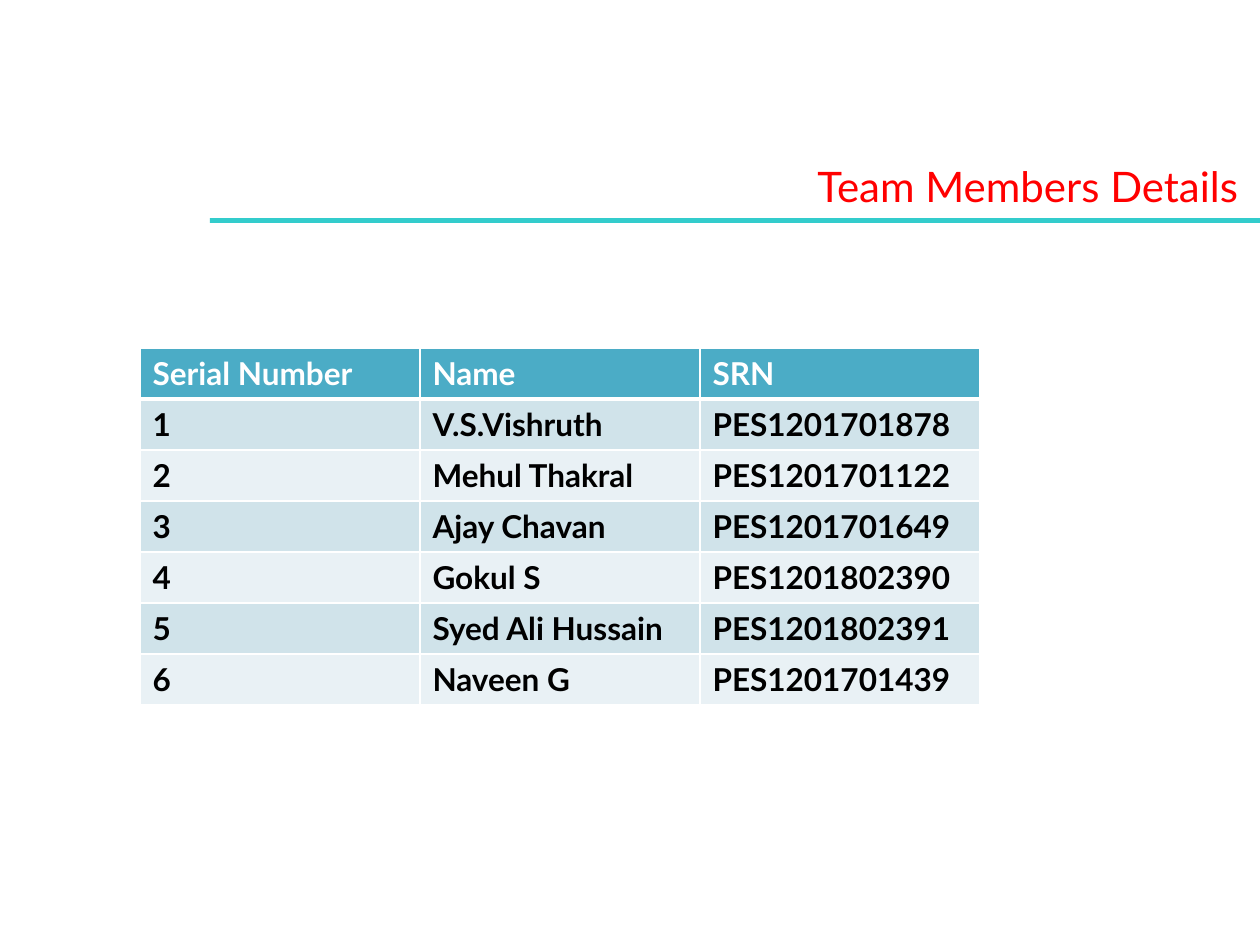
from lxml.etree import SubElement
from pptx import Presentation
from pptx.dml.color import RGBColor
from pptx.enum.shapes import MSO_SHAPE
from pptx.enum.text import MSO_ANCHOR, MSO_AUTO_SIZE, PP_ALIGN
from pptx.oxml.ns import qn
from pptx.util import Emu, Pt

PX_PER_INCH = 126
FONT = "Lato"
WHITE = RGBColor(0xFF, 0xFF, 0xFF)
BLACK = RGBColor(0x00, 0x00, 0x00)
RED = RGBColor(0xFF, 0x00, 0x00)
TURQUOISE = RGBColor(0x33, 0xCC, 0xCC)
HEADER_BLUE = RGBColor(0x4B, 0xAC, 0xC6)
BAND_DARK = RGBColor(0xD0, 0xE3, 0xEA)
BAND_LIGHT = RGBColor(0xE9, 0xF1, 0xF5)

MEMBERS = [
    ("Serial Number", "Name", "SRN"),
    ("1", "V.S.Vishruth", "PES1201701878"),
    ("2", "Mehul Thakral", "PES1201701122"),
    ("3", "Ajay Chavan", "PES1201701649"),
    ("4", "Gokul S", "PES1201802390"),
    ("5", "Syed Ali Hussain", "PES1201802391"),
    ("6", "Naveen G", "PES1201701439"),
]


def px(length):
    return Emu(round(length * 914400 / PX_PER_INCH))


def format_font(font, size, color, bold=False):
    values = {"name": FONT, "size": Pt(size), "bold": bold}
    for attribute, value in values.items():
        setattr(font, attribute, value)
    font.color.rgb = color


def add_heading(slide, left, top, width, height):
    """Place the right-aligned title and the rule just below it."""
    title = slide.shapes.title
    box = {"left": left, "top": top, "width": width, "height": height}
    for attribute, value in box.items():
        setattr(title, attribute, px(value))
    frame = title.text_frame
    frame_format = {
        "text": "Team Members Details",
        "word_wrap": True,
        "auto_size": MSO_AUTO_SIZE.NONE,
        "vertical_anchor": MSO_ANCHOR.TOP,
        "margin_right": px(22),
    }
    for attribute, value in frame_format.items():
        setattr(frame, attribute, value)
    heading = frame.paragraphs[0]
    heading.alignment = PP_ALIGN.RIGHT
    format_font(heading.font, 24, RED)

    indent = 70
    rule = slide.shapes.add_shape(
        MSO_SHAPE.RECTANGLE, px(left + indent), px(top + height + 1),
        px(width - indent), px(5))
    rule.shadow.inherit = False
    rule.fill.solid()
    rule.fill.fore_color.rgb = TURQUOISE
    rule.line.fill.background()


def set_borders(cell, top, bottom):
    """Draw white borders; top and bottom widths are in points."""
    properties = cell._tc.get_or_add_tcPr()
    for side, width in {"L": 1, "R": 1, "T": top, "B": bottom}.items():
        line = SubElement(properties, qn(f"a:ln{side}"), w=str(Pt(width)))
        fill = SubElement(line, qn("a:solidFill"))
        SubElement(fill, qn("a:srgbClr"), val=str(WHITE))


def add_members_table(slide, left, top, width, row_height):
    table = slide.shapes.add_table(
        len(MEMBERS), len(MEMBERS[0]), px(left), px(top),
        px(width), px(row_height * len(MEMBERS))).table
    for row, member in enumerate(MEMBERS):
        if row == 0:
            fill, color = HEADER_BLUE, WHITE
        else:
            fill, color = (BAND_DARK if row % 2 else BAND_LIGHT), BLACK
        for column, entry in enumerate(member):
            cell = table.cell(row, column)
            set_borders(cell, top=3 if row == 1 else 1,
                        bottom=3 if row == 0 else 1)
            cell.fill.solid()
            cell.fill.fore_color.rgb = fill
            cell.text = entry
            format_font(cell.text_frame.paragraphs[0].runs[0].font,
                        18, color, bold=True)


def main():
    deck = Presentation()
    deck.slide_width, deck.slide_height = px(1260), px(945)
    slide = deck.slides.add_slide(deck.slide_layouts[5])
    add_heading(slide, 140, 154, 1120, 63)
    add_members_table(slide, 140, 348, 840, 51)
    deck.save("out.pptx")


if __name__ == "__main__":
    main()
